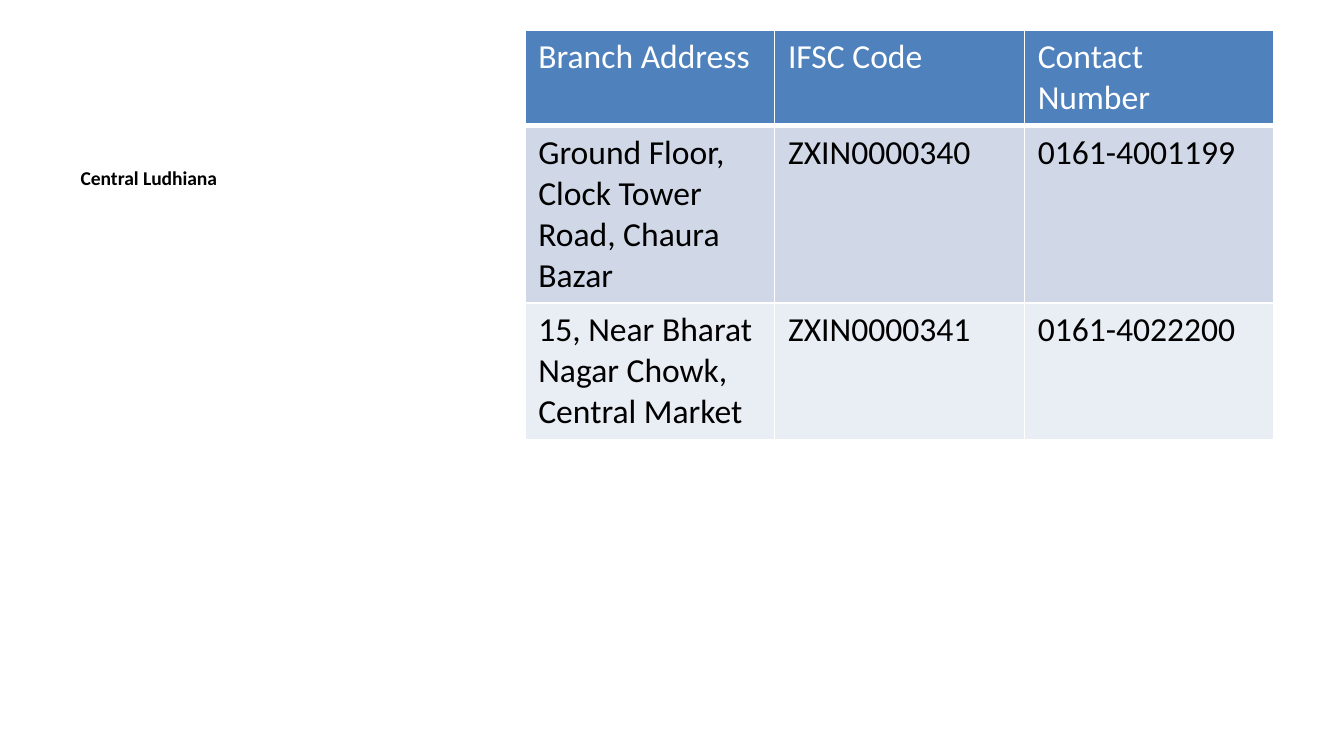
import pptx
import pptx.dml.color
import pptx.enum.text
import pptx.oxml
import pptx.oxml.ns
import pptx.util

Cm, Pt = pptx.util.Cm, pptx.util.Pt

COLOURS = {
    "header": "4F81BD",
    "odd_row": "D0D8E8",
    "even_row": "E9EDF4",
    "light": "FFFFFF",
    "dark": "000000",
}


class BranchSlide:
    """Holds the style and the current slide."""

    font_name = "Calibri"

    def __init__(self, presentation):
        self.slide = presentation.slides.add_slide(presentation.slide_layouts[5])

    def colour(self, name):
        return pptx.dml.color.RGBColor.from_string(COLOURS[name])

    def format_text(self, paragraph, size, colour, bold=False):
        values = {"name": self.font_name, "size": Pt(size), "bold": bold}
        for attribute, value in values.items():
            setattr(paragraph.font, attribute, value)
        paragraph.font.color.rgb = self.colour(colour)

    def add_title(self, text, left, top, width, height):
        title = self.slide.shapes.title
        box = {"left": left, "top": top, "width": width, "height": height}
        for attribute, value in box.items():
            setattr(title, attribute, Cm(value))
        frame = title.text_frame
        frame.text = text
        frame.word_wrap = True
        frame.auto_size = pptx.enum.text.MSO_AUTO_SIZE.NONE
        frame.vertical_anchor = pptx.enum.text.MSO_ANCHOR.TOP
        paragraph = frame.paragraphs[0]
        paragraph.alignment = pptx.enum.text.PP_ALIGN.LEFT
        self.format_text(paragraph, 10.5, "dark", bold=True)

    def add_borders(self, cell, bottom_width):
        properties = cell._tc.get_or_add_tcPr()
        widths = {"L": 1, "R": 1, "T": 1, "B": bottom_width}
        for side, width in widths.items():
            properties.append(pptx.oxml.parse_xml(
                f'<a:ln{side} {pptx.oxml.ns.nsdecls("a")} w="{Pt(width)}">'
                f'<a:solidFill><a:srgbClr val="{COLOURS["light"]}"/></a:solidFill>'
                f'</a:ln{side}>'))

    def add_table(self, rows, left, top, column_width, row_heights):
        columns = len(rows[0])
        table = self.slide.shapes.add_table(
            len(rows), columns, Cm(left), Cm(top),
            Cm(column_width * columns), Cm(sum(row_heights))).table
        for column in table.columns:
            column.width = Cm(column_width)
        for index, (texts, height) in enumerate(zip(rows, row_heights)):
            table.rows[index].height = Cm(height)
            is_header = index == 0
            fill = "header" if is_header else "odd_row" if index % 2 else "even_row"
            for cell, text in zip(table.rows[index].cells, texts):
                cell.text = text
                self.add_borders(cell, 3 if is_header else 1)
                cell.fill.solid()
                cell.fill.fore_color.rgb = self.colour(fill)
                self.format_text(cell.text_frame.paragraphs[0], 18,
                                 "light" if is_header else "dark")


def main():
    presentation = pptx.Presentation()
    presentation.slide_width = Cm(25.4)
    presentation.slide_height = Cm(14.29)
    branches = BranchSlide(presentation)

    # Area name
    branches.add_title("Central Ludhiana", 1.27, 3, 8.36, 9.78)

    # Branch details
    branch_rows = [
        ("Branch Address", "IFSC Code", "Contact Number"),
        ("Ground Floor, Clock Tower Road, Chaura Bazar", "ZXIN0000340", "0161-4001199"),
        ("15, Near Bharat Nagar Chowk, Central Market", "ZXIN0000341", "0161-4022200"),
    ]
    branches.add_table(branch_rows, 9.92, 0.57, 4.72, (1.8, 3.35, 2.57))

    presentation.save("out.pptx")


if __name__ == "__main__":
    main()
